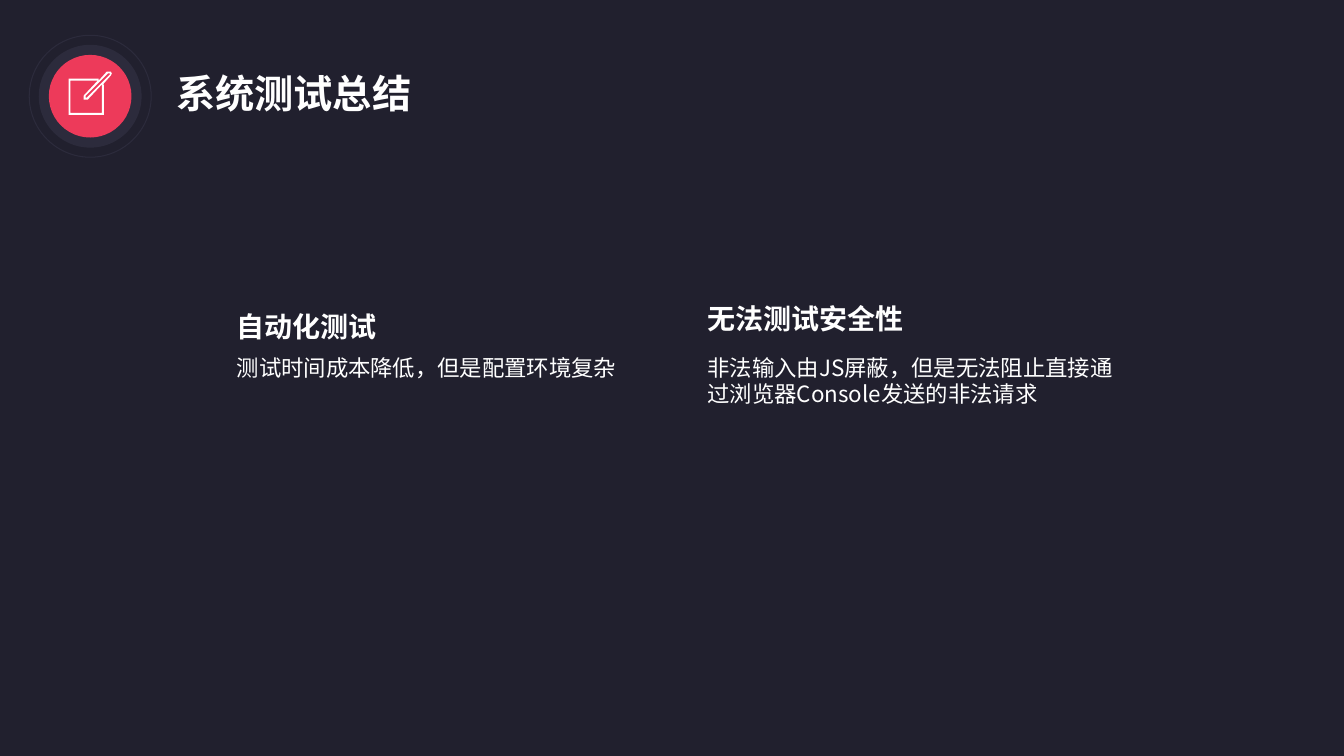
import pptx
import pptx.util
import pptx.dml.color
import pptx.enum.shapes
import pptx.enum.text
import pptx.oxml.ns
import lxml.etree

FONT = "Noto Sans CJK SC"
NIGHT, SLATE, RED, WHITE = "21202E", "2C2B3C", "ED3A5A", "FFFFFF"

deck = pptx.Presentation()
deck.slide_width = pptx.util.Inches(13.33)
deck.slide_height = pptx.util.Inches(7.5)
# The grid has 100 columns and 100 rows
column = deck.slide_width / 100
row = deck.slide_height / 100
page = deck.slides.add_slide(deck.slide_layouts[6])


def paint(target, colour):
    target.solid()
    target.fore_color.rgb = pptx.dml.color.RGBColor.from_string(colour)


def add_text(words, left, top, width, height, size, bold):
    box = page.shapes.add_textbox(int(left * column), int(top * row),
                                  int(width * column), int(height * row))
    frame = box.text_frame
    frame.word_wrap = True
    frame.auto_size = pptx.enum.text.MSO_AUTO_SIZE.SHAPE_TO_FIT_TEXT
    para = frame.paragraphs[0]
    span = para.add_run()
    span.text = words
    span.font.size = pptx.util.Pt(size)
    span.font.bold = bold
    span.font.name = FONT
    paint(span.font.fill, WHITE)
    east_asian = lxml.etree.SubElement(span.font._element, pptx.oxml.ns.qn("a:ea"))
    east_asian.set("typeface", FONT)


paint(page.background.fill, NIGHT)

# Concentric badge circles, diameters in rows
badge_x, badge_y = 6.71 * column, 12.73 * row
for diameter, fill in [(16.13, None), (13.6, SLATE), (10.93, RED)]:
    side = diameter * row
    circle = page.shapes.add_shape(
        pptx.enum.shapes.MSO_SHAPE.OVAL,
        int(badge_x - side / 2), int(badge_y - side / 2), int(side), int(side))
    circle.shadow.inherit = False
    if fill:
        paint(circle.fill, fill)
        circle.line.fill.background()
    else:
        circle.fill.background()
        paint(circle.line.fill, SLATE)
        circle.line.width = pptx.util.Pt(0.75)

# Notepad and pencil icon, in hundredths of an inch
outline = [(110, 71), (108, 71), (106, 71), (98, 80), (98, 78), (68, 78), (68, 114),
           (103, 114), (103, 84), (102, 84), (110, 75), (111, 73)]
paper = [(101, 112), (70, 112), (70, 80), (97, 80), (83, 95), (83, 99), (87, 99), (101, 84)]
pencil = [(109, 74), (86, 97), (85, 97), (85, 95), (107, 73), (109, 73)]
builder = page.shapes.build_freeform(*outline[0], scale=pptx.util.Inches(0.01))
builder.add_line_segments(outline[1:], close=True)
for hole in (paper, pencil):
    builder.move_to(*hole[0])
    builder.add_line_segments(hole[1:], close=True)
icon = builder.convert_to_shape()
icon.shadow.inherit = False
paint(icon.fill, WHITE)
icon.line.fill.background()

# Title
add_text("系统测试总结", 12.38, 8.53, 22.28, 7.6, 28, True)

# Two findings: left, heading top, heading, body width, body height, body
findings = [
    (16.88, 40.27, "自动化测试", 31.2, 4.93, "测试时间成本降低，但是配置环境复杂"),
    (51.91, 39.2, "无法测试安全性", 33.08, 8.53,
     "非法输入由JS屏蔽，但是无法阻止直接通过浏览器Console发送的非法请求"),
]
for left, top, heading, width, height, body in findings:
    add_text(heading, left, top, 28.43, 5.87, 20, True)
    add_text(body, left, 46.13, width, height, 16, False)

deck.save("out.pptx")
